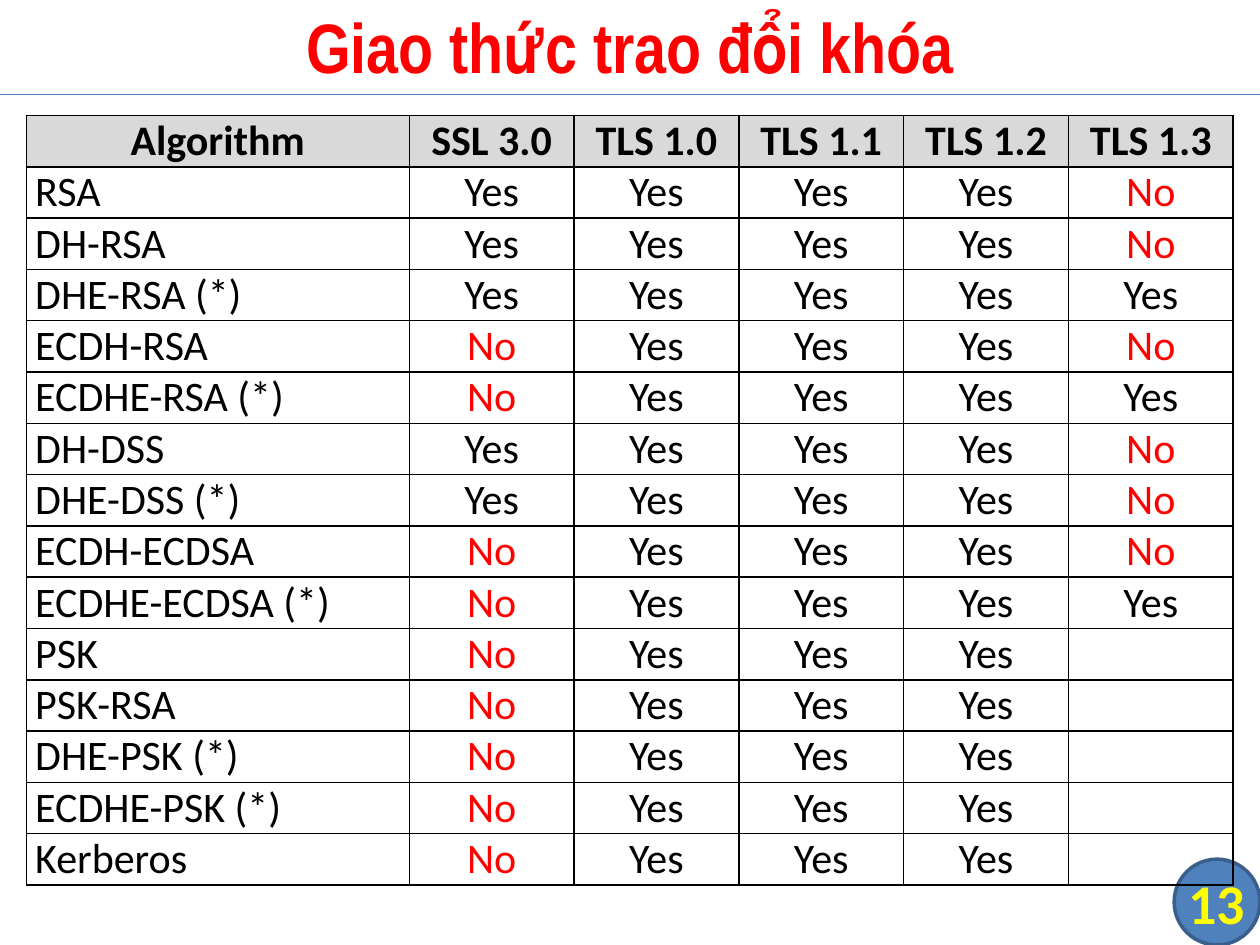
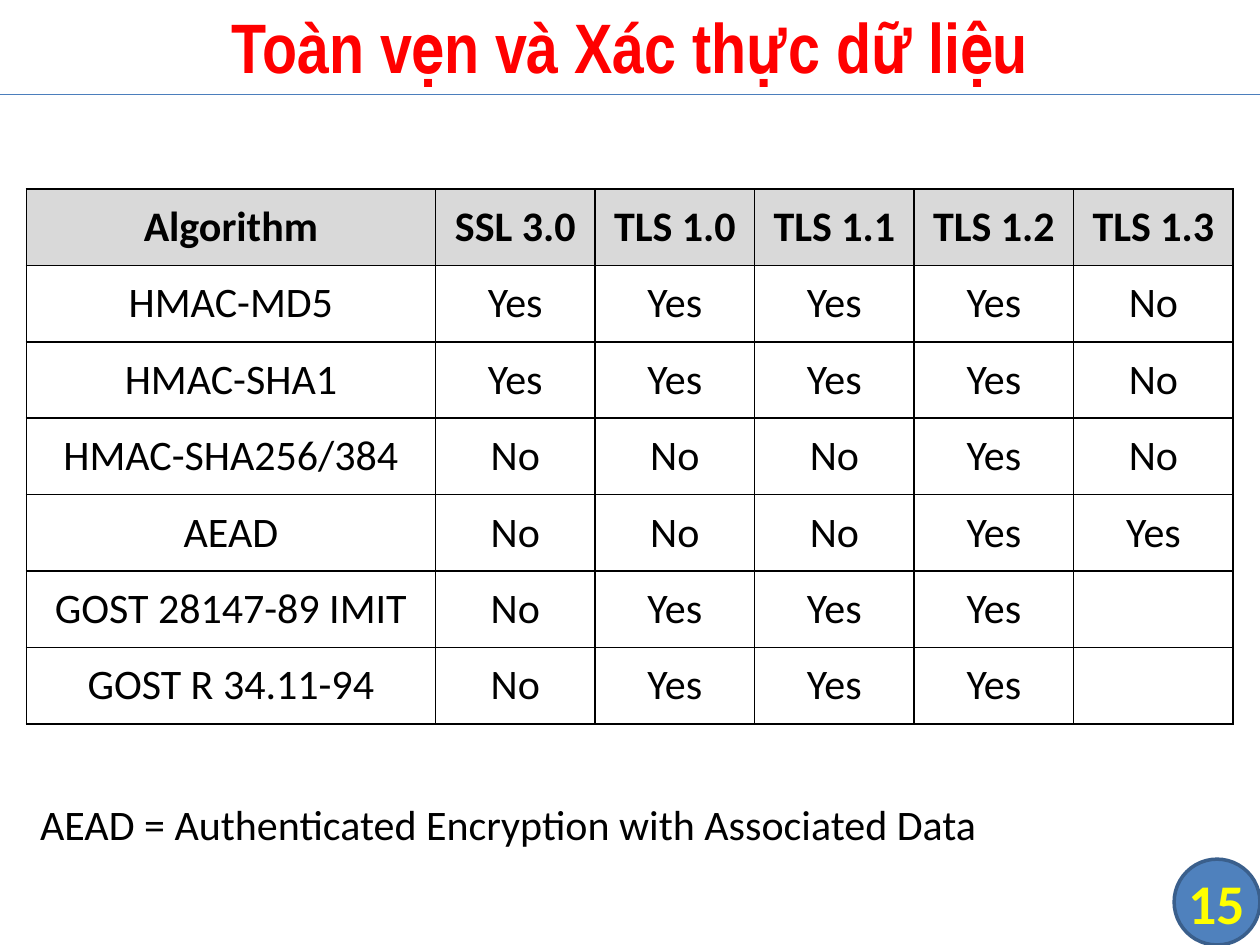
from lxml.etree import SubElement
from pptx import Presentation
from pptx.dml.color import RGBColor
from pptx.enum.shapes import MSO_CONNECTOR, MSO_SHAPE
from pptx.enum.text import MSO_ANCHOR, MSO_AUTO_SIZE, PP_ALIGN
from pptx.oxml.ns import qn
from pptx.util import Cm, Pt

RED = RGBColor(0xFF, 0x00, 0x00)
BLACK = RGBColor(0x00, 0x00, 0x00)
YELLOW = RGBColor(0xFF, 0xFF, 0x00)
HEADER_GRAY = RGBColor(0xD9, 0xD9, 0xD9)
BADGE_BLUE = RGBColor(0x4F, 0x81, 0xBD)
BADGE_EDGE = RGBColor(0x3A, 0x5F, 0x8C)
RULE_BLUE = RGBColor(0x4B, 0x7E, 0xBC)

BODY_FONT = "Calibri"
TITLE_FONT = "Arial Narrow"
PLAIN_TABLE_STYLE = "{2D5ABB26-0587-4C30-8999-92F81FD0307C}"

PAGE_WIDTH = Cm(25.4)
PAGE_HEIGHT = Cm(19.05)
TITLE_BOTTOM = Cm(1.9)
BADGE_SIZE = Cm(1.73)
TABLE_LEFT = Cm(0.53)
TABLE_WIDTH = Cm(24.33)

HEADINGS = ["Algorithm", "SSL 3.0", "TLS 1.0", "TLS 1.1", "TLS 1.2", "TLS 1.3"]

KEY_EXCHANGE = [
    ("RSA", "Yes Yes Yes Yes No"),
    ("DH-RSA", "Yes Yes Yes Yes No"),
    ("DHE-RSA (*)", "Yes Yes Yes Yes Yes"),
    ("ECDH-RSA", "No Yes Yes Yes No"),
    ("ECDHE-RSA (*)", "No Yes Yes Yes Yes"),
    ("DH-DSS", "Yes Yes Yes Yes No"),
    ("DHE-DSS (*)", "Yes Yes Yes Yes No"),
    ("ECDH-ECDSA", "No Yes Yes Yes No"),
    ("ECDHE-ECDSA (*)", "No Yes Yes Yes Yes"),
    ("PSK", "No Yes Yes Yes"),
    ("PSK-RSA", "No Yes Yes Yes"),
    ("DHE-PSK (*)", "No Yes Yes Yes"),
    ("ECDHE-PSK (*)", "No Yes Yes Yes"),
    ("Kerberos", "No Yes Yes Yes"),
]

INTEGRITY = [
    ("HMAC-MD5", "Yes Yes Yes Yes No"),
    ("HMAC-SHA1", "Yes Yes Yes Yes No"),
    ("HMAC-SHA256/384", "No No No Yes No"),
    ("AEAD", "No No No Yes Yes"),
    ("GOST 28147-89 IMIT", "No Yes Yes Yes"),
    ("GOST R 34.11-94", "No Yes Yes Yes"),
]


def write_text(frame, text, *, size=24, font=BODY_FONT, color=BLACK, bold=False,
               align=PP_ALIGN.CENTER, spacing=0):
    para = frame.paragraphs[0]
    para.alignment = align
    para.space_before = para.space_after = Pt(spacing)
    span = para.add_run()
    span.text = text
    span.font.size = Pt(size)
    span.font.name = font
    span.font.bold = bold
    span.font.color.rgb = color


def add_title(page, text):
    title = page.shapes.title
    title.left, title.top = 0, Cm(-0.08)
    title.width, title.height = PAGE_WIDTH, Cm(1.98)
    title.text_frame.auto_size = MSO_AUTO_SIZE.NONE
    title.text_frame.vertical_anchor = MSO_ANCHOR.MIDDLE
    write_text(title.text_frame, text, size=40, font=TITLE_FONT, color=RED, bold=True)


def add_title_rule(page):
    rule = page.shapes.add_connector(
        MSO_CONNECTOR.STRAIGHT, 0, TITLE_BOTTOM, PAGE_WIDTH, TITLE_BOTTOM)
    rule.line.color.rgb = RULE_BLUE
    rule.line.width = Pt(0.75)
    SubElement(rule._element.spPr, qn("a:effectLst"))


def badge_bounds():
    return PAGE_WIDTH - BADGE_SIZE, PAGE_HEIGHT - BADGE_SIZE, BADGE_SIZE, BADGE_SIZE


def add_badge(page):
    badge = page.shapes.add_shape(MSO_SHAPE.FLOWCHART_CONNECTOR, *badge_bounds())
    badge.shadow.inherit = False
    badge.fill.solid()
    badge.fill.fore_color.rgb = BADGE_BLUE
    badge.line.color.rgb = BADGE_EDGE
    badge.line.width = Pt(2)


def add_page_number(page, number):
    frame = page.shapes.add_textbox(*badge_bounds()).text_frame
    frame.word_wrap = True
    frame.vertical_anchor = MSO_ANCHOR.MIDDLE
    frame.margin_left = frame.margin_right = frame.margin_top = frame.margin_bottom = 0
    write_text(frame, str(number), size=32, color=YELLOW, bold=True)


def add_note(page, text):
    box = page.shapes.add_textbox(Cm(0.56), Cm(15.98), Cm(21.46), Cm(1.27))
    box.text_frame.word_wrap = True
    write_text(box.text_frame, text, align=PP_ALIGN.LEFT)


def add_borders(cell):
    properties = cell._tc.get_or_add_tcPr()
    for side in ("a:lnL", "a:lnR", "a:lnT", "a:lnB"):
        border = SubElement(properties, qn(side), w=str(Pt(1)))
        fill = SubElement(border, qn("a:solidFill"))
        SubElement(fill, qn("a:srgbClr"), val=str(BLACK))


def format_cell(cell, anchor, is_header):
    cell.margin_left = cell.margin_right = Cm(0.18)
    cell.margin_top = cell.margin_bottom = 0
    cell.vertical_anchor = anchor
    add_borders(cell)
    if is_header:
        cell.fill.solid()
        cell.fill.fore_color.rgb = HEADER_GRAY
    else:
        cell.fill.background()


def add_support_table(page, algorithms, *, top, row_height, name_width,
                      name_align=PP_ALIGN.CENTER, no_color=BLACK, anchor=MSO_ANCHOR.MIDDLE):
    rows = [HEADINGS] + [[name, *support.split()] for name, support in algorithms]
    table = page.shapes.add_table(
        len(rows), len(HEADINGS), TABLE_LEFT, top, TABLE_WIDTH, row_height * len(rows)).table
    table.first_row = table.horz_banding = False
    table._tbl.tblPr.find(qn("a:tableStyleId")).text = PLAIN_TABLE_STYLE

    version_width = (TABLE_WIDTH - name_width) // (len(HEADINGS) - 1)
    for index, column in enumerate(table.columns):
        column.width = version_width if index else name_width

    for row_index, values in enumerate(rows):
        table.rows[row_index].height = row_height
        is_header = row_index == 0
        for cell in table.rows[row_index].cells:
            format_cell(cell, anchor, is_header)
        for column_index, value in enumerate(values):
            is_name = column_index == 0 and not is_header
            write_text(table.cell(row_index, column_index).text_frame, value,
                       bold=is_header, spacing=3,
                       color=no_color if value == "No" else BLACK,
                       align=name_align if is_name else PP_ALIGN.CENTER)


def add_page(deck, title, number, algorithms, **table_format):
    page = deck.slides.add_slide(deck.slide_layouts[5])
    add_title(page, title)
    add_badge(page)
    add_title_rule(page)
    add_support_table(page, algorithms, **table_format)
    add_page_number(page, number)
    return page


def main():
    deck = Presentation()
    deck.slide_width, deck.slide_height = PAGE_WIDTH, PAGE_HEIGHT

    add_page(deck, "Giao thức trao đổi khóa", 13, KEY_EXCHANGE,
             top=Cm(2.33), row_height=Cm(1.03), name_width=Cm(7.72),
             name_align=PP_ALIGN.LEFT, no_color=RED, anchor=MSO_ANCHOR.TOP)

    integrity_page = add_page(deck, "Toàn vẹn và Xác thực dữ liệu", 15, INTEGRITY,
                              top=Cm(3.81), row_height=Cm(1.54), name_width=Cm(8.25))
    add_note(integrity_page, "AEAD = Authenticated Encryption with Associated Data")

    deck.save("out.pptx")


if __name__ == "__main__":
    main()
